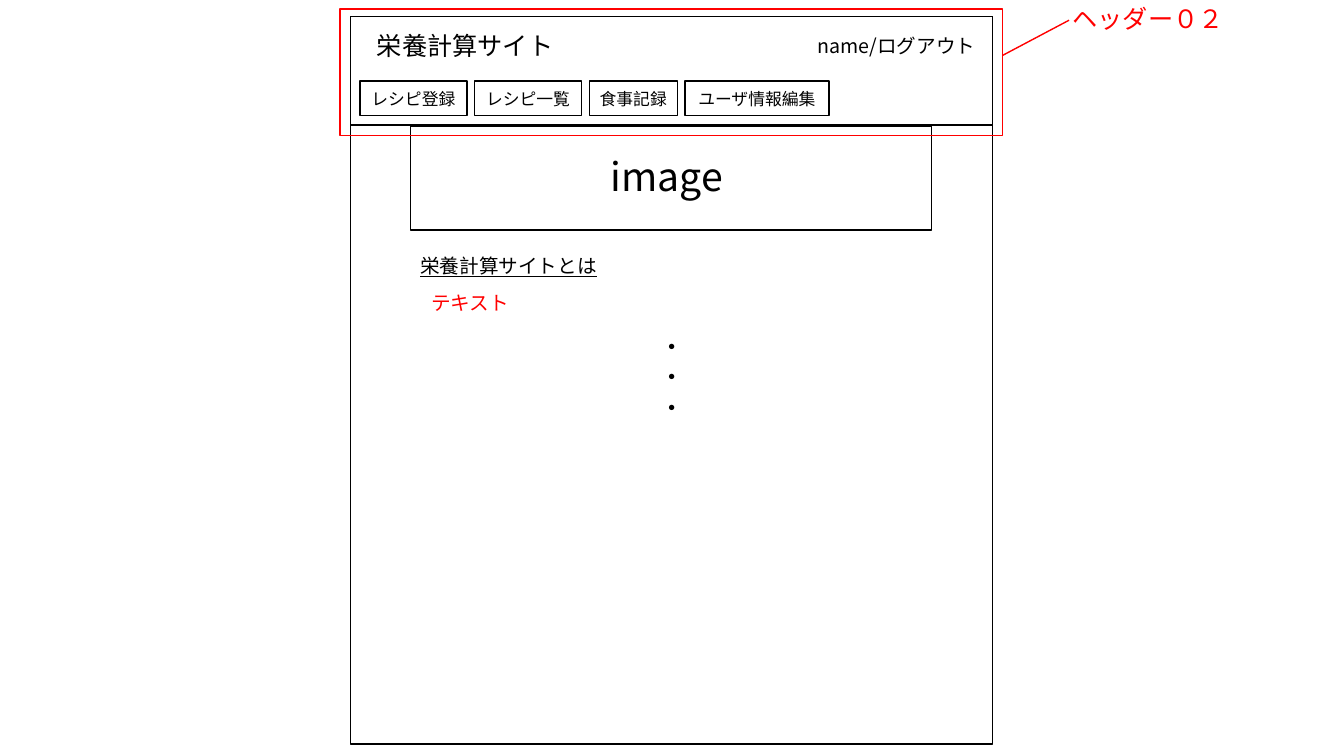
from dataclasses import dataclass
from typing import NamedTuple

from lxml import etree
from pptx import Presentation
from pptx import util as u
from pptx.dml import color
from pptx.enum import shapes, text
from pptx.oxml import ns


@dataclass(frozen=True)
class Theme:
    font: str = "Noto Sans CJK JP"
    ink: color.RGBColor = color.RGBColor(0, 0, 0)
    note: color.RGBColor = color.RGBColor(255, 0, 0)
    line: float = 1
    image: int = 28
    title: int = 18
    body: int = 14
    button: int = 12


THEME = Theme()


class Box(NamedTuple):
    """A rectangle in centimetres."""
    left: float
    top: float
    width: float
    height: float

    def inner(self, left, top, width, height):
        return Box(self.left + left, self.top + top, width, height)

    def lengths(self):
        return [u.Cm(value) for value in self]


def write(frame, content, size=THEME.body, ink=THEME.ink, align=text.PP_ALIGN.LEFT,
          underline=None, wrap=True):
    """Fill a text frame, one paragraph for each line of content."""
    frame.word_wrap = wrap
    for index, line in enumerate(content.split("\n")):
        para = frame.add_paragraph() if index else frame.paragraphs[0]
        para.alignment = align
        span = para.add_run()
        span.text = line
        span.font.name = THEME.font
        span.font.size = u.Pt(size)
        span.font.color.rgb = ink
        span.font.underline = underline
        east_asian = etree.SubElement(span.font._element, ns.qn("a:ea"))
        east_asian.set("typeface", THEME.font)


def add_text(slide, box, content, **style):
    shape = slide.shapes.add_textbox(*box.lengths())
    write(shape.text_frame, content, **style)


def add_frame(slide, box, ink=THEME.ink):
    """Add an unfilled outlined rectangle."""
    shape = slide.shapes.add_shape(shapes.MSO_SHAPE.RECTANGLE, *box.lengths())
    shape.shadow.inherit = False
    shape.fill.background()
    shape.line.color.rgb = ink
    shape.line.width = u.Pt(THEME.line)
    return shape


def add_button(slide, box, label):
    frame = add_frame(slide, box).text_frame
    frame.vertical_anchor = text.MSO_ANCHOR.MIDDLE
    frame.margin_left = frame.margin_right = 0
    write(frame, label, size=THEME.button, align=text.PP_ALIGN.CENTER, wrap=False)


def add_line(slide, start, end, ink):
    line = slide.shapes.add_connector(
        shapes.MSO_CONNECTOR.STRAIGHT, *[u.Cm(value) for value in (*start, *end)])
    line.line.color.rgb = ink
    line.line.width = u.Pt(THEME.line)
    etree.SubElement(line._element.spPr, ns.qn("a:effectLst"))


def add_content(slide, page):
    add_frame(slide, page)
    add_frame(slide, page.inner(1.5, 2.77, 13.13, 2.62))
    add_text(slide, page.inner(6.3, 3.3, 3.66, 1.45), "image", size=THEME.image)
    add_text(slide, page.inner(1.5, 5.86, 5.16, 0.86), "栄養計算サイトとは", underline=True)
    add_text(slide, page.inner(7.52, 7.82, 1.09, 2.57), "・\n・\n・", size=THEME.title)
    add_text(slide, page.inner(1.78, 6.8, 4.75, 0.86), "テキスト", ink=THEME.note)


def add_header(slide, header):
    add_frame(slide, header)
    add_text(slide, header.inner(0.41, 0.22, 5.08, 1.02), "栄養計算サイト", size=THEME.title)
    add_text(slide, header.inner(11.51, 0.33, 4.75, 0.86), "name/ログアウト")

    left, gap = 0.23, 0.19
    for label, width in (("レシピ登録", 2.7), ("レシピ一覧", 2.7),
                         ("食事記録", 2.22), ("ユーザ情報編集", 3.63)):
        add_button(slide, header.inner(left, 1.63, width, 0.88), label)
        left += width + gap


def add_callout(slide, header):
    """Mark the header with a red outline, a leader line and a label."""
    outline = header.inner(-0.27, -0.18, header.width + 0.51, header.height + 0.44)
    add_frame(slide, outline, ink=THEME.note)
    right = outline.left + outline.width
    add_line(slide, (right, outline.top + 1.17), (right + 1.68, outline.top + 0.28), THEME.note)
    label = Box(right + 1.52, outline.top - 0.28, 4.37, 1.02)
    add_text(slide, label, "ヘッダー０２", size=THEME.title, ink=THEME.note, wrap=False)


def main():
    deck = Presentation()
    deck.slide_width, deck.slide_height = u.Cm(33.87), u.Cm(19.05)
    slide = deck.slides.add_slide(deck.slide_layouts[6])
    page = Box(8.84, 0.41, 16.18, 18.34)
    header = page.inner(0, 0, page.width, 2.74)
    add_content(slide, page)
    add_header(slide, header)
    add_callout(slide, header)
    deck.save("out.pptx")


if __name__ == "__main__":
    main()
